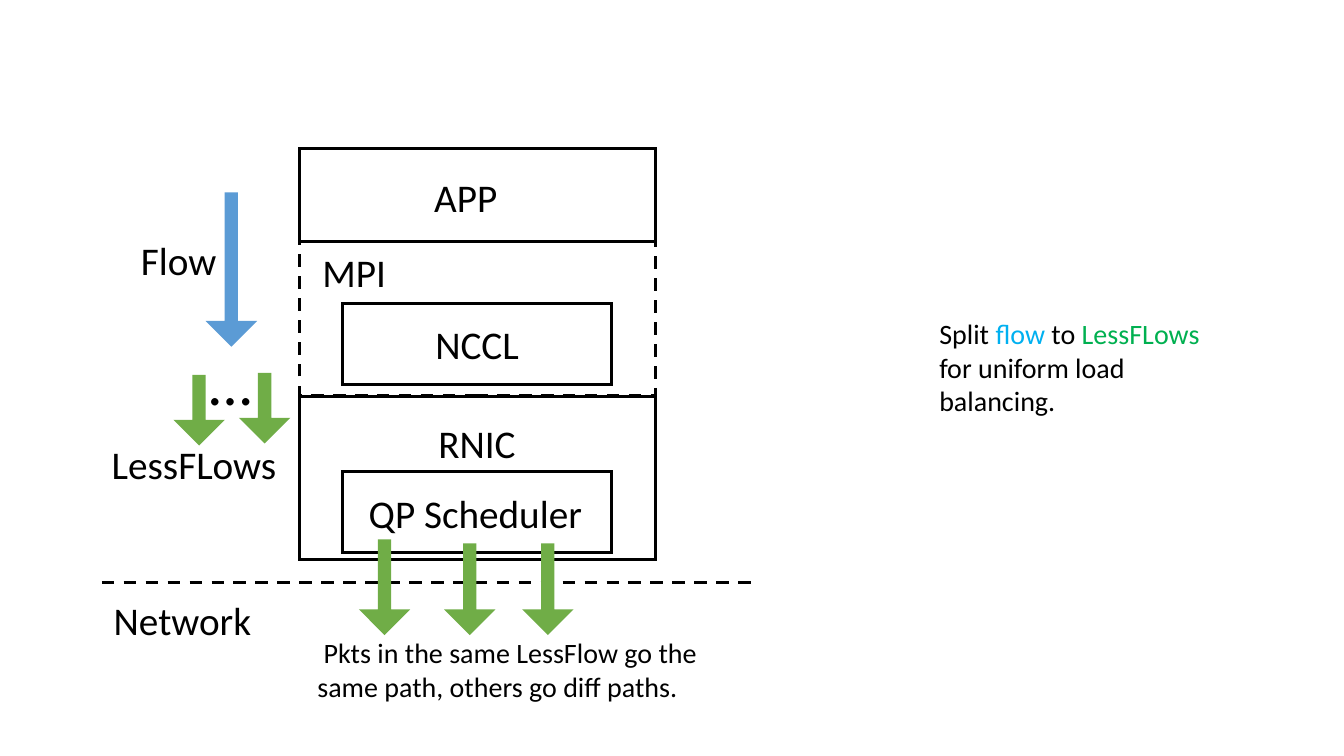
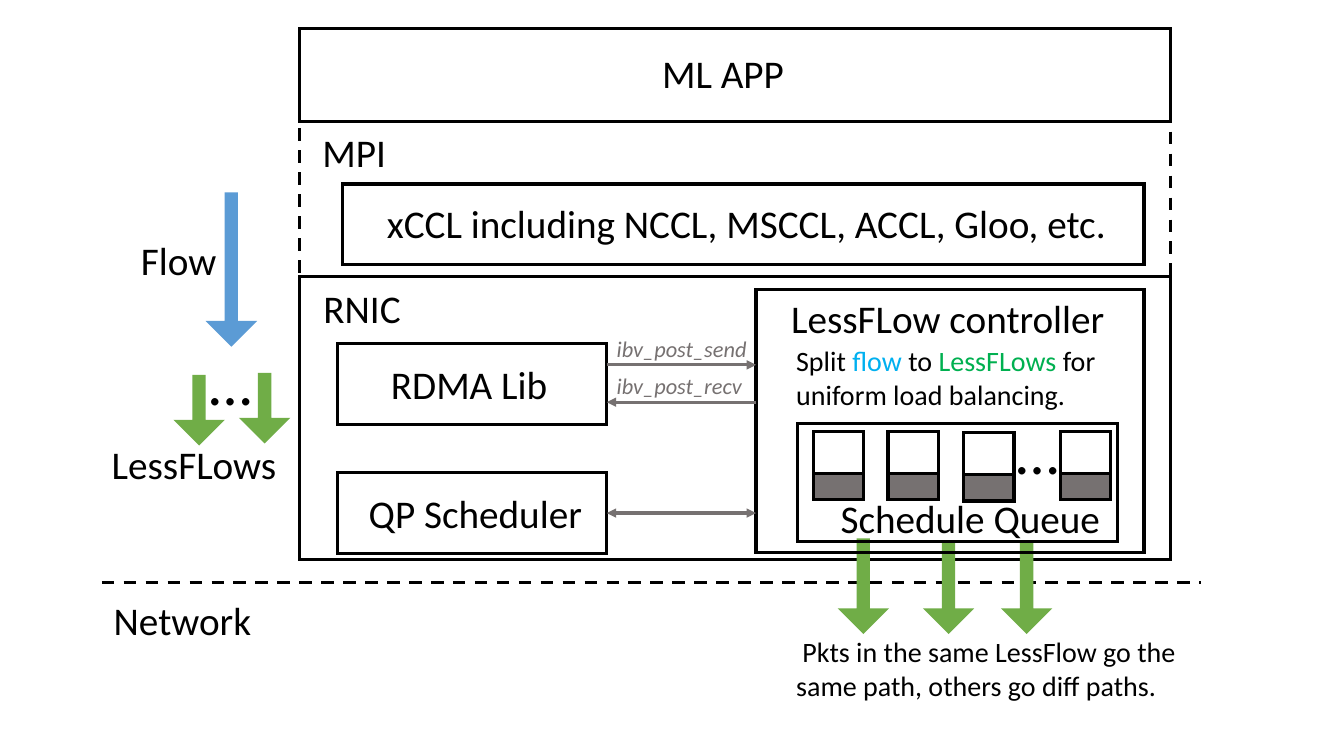
from dataclasses import dataclass
from typing import Optional

from lxml import etree
from pptx import Presentation
from pptx.dml.color import RGBColor
from pptx.enum.dml import MSO_LINE
from pptx.enum.shapes import MSO_CONNECTOR, MSO_SHAPE
from pptx.enum.text import MSO_AUTO_SIZE
from pptx.oxml.ns import qn
from pptx.util import Inches, Pt

RECTANGLE = MSO_SHAPE.RECTANGLE
DOWN_ARROW = MSO_SHAPE.DOWN_ARROW
STRAIGHT = MSO_CONNECTOR.STRAIGHT
DASH = MSO_LINE.DASH
GROW = MSO_AUTO_SIZE.SHAPE_TO_FIT_TEXT
LEFT_SIDE, RIGHT_SIDE = 1, 3

CELL_INCHES = 0.1
SLIDE_COLUMNS, SLIDE_ROWS = 133.33, 75

FONT = "Calibri"
BLACK, GRAY = "000000", "767171"
FLOW_BLUE, FLOW_GREEN = "5B9BD5", "70AD47"
TEXT_BLUE, TEXT_GREEN = "00B0F0", "00B050"
LABEL_SIZE, NOTE_SIZE, CALL_SIZE, DOTS_SIZE = 28, 20, 16, 44
LINE_WIDTH = 2.25

STACK_COLUMN, STACK_BOTTOM = 29.7, 55.5
APP_ROWS, MPI_ROWS, BOX_ROWS = 9.3, 15.3, 8
ARROW_COLUMNS = 5.1


@dataclass(frozen=True)
class Box:
    column: float
    row: float
    columns: float
    rows: float
    fill: Optional[str] = None
    dashed: bool = False


@dataclass(frozen=True)
class Arrow:
    column: float
    row: float
    rows: float
    colour: str = FLOW_GREEN


@dataclass(frozen=True)
class Label:
    column: float
    row: float
    columns: float
    runs: tuple[tuple[str, str], ...]
    size: float = LABEL_SIZE
    rows: float = 5.7
    wrap: bool = False
    italic: bool = False


@dataclass(frozen=True)
class Line:
    start_column: float
    end_column: float
    row: float
    colour: str = GRAY
    dashed: bool = False
    head: bool = False
    tail: bool = False


@dataclass(frozen=True)
class Stack:
    row: float
    columns: float
    library_columns: float
    scheduler: Box
    network_end: float
    outlet_column: float
    outlet_row: float
    labels: tuple[Label, ...]


def grid(cells: float) -> int:
    return Inches(cells * CELL_INCHES)


def colour(hex_value: str) -> RGBColor:
    return RGBColor.from_string(hex_value)


def plain(text: str, hex_value: str = BLACK) -> tuple[tuple[str, str], ...]:
    return ((text, hex_value),)


def style_line(line, hex_value: str, dashed: bool):
    line.color.rgb = colour(hex_value)
    line.width = Pt(LINE_WIDTH)
    if dashed:
        line.dash_style = DASH


def draw_box(slide, box: Box):
    shape = slide.shapes.add_shape(
        RECTANGLE, grid(box.column), grid(box.row), grid(box.columns), grid(box.rows)
    )
    shape.shadow.inherit = False
    if box.fill:
        shape.fill.solid()
        shape.fill.fore_color.rgb = colour(box.fill)
    else:
        shape.fill.background()
    style_line(shape.line, BLACK, box.dashed)
    outline = shape.element.spPr.find(qn("a:ln"))
    etree.SubElement(outline, qn("a:miter"), lim="800000")
    return shape


def draw_arrow(slide, arrow: Arrow) -> None:
    shape = slide.shapes.add_shape(
        DOWN_ARROW, grid(arrow.column), grid(arrow.row), grid(ARROW_COLUMNS), grid(arrow.rows)
    )
    shape.shadow.inherit = False
    shape.adjustments[0] = 0.26
    shape.adjustments[1] = 0.5
    shape.fill.solid()
    shape.fill.fore_color.rgb = colour(arrow.colour)
    shape.line.fill.background()


def draw_label(slide, label: Label) -> None:
    shape = slide.shapes.add_textbox(
        grid(label.column), grid(label.row), grid(label.columns), grid(label.rows)
    )
    text_frame = shape.text_frame
    text_frame.word_wrap = label.wrap
    text_frame.auto_size = GROW
    paragraph = text_frame.paragraphs[0]
    for text, hex_value in label.runs:
        run = paragraph.add_run()
        run.text = text
        run.font.name = FONT
        run.font.size = Pt(label.size)
        run.font.italic = label.italic
        run.font.color.rgb = colour(hex_value)


def draw_line(slide, line: Line):
    connector = slide.shapes.add_connector(
        STRAIGHT, grid(line.start_column), grid(line.row), grid(line.end_column), grid(line.row)
    )
    style_line(connector.line, line.colour, line.dashed)
    properties = connector.element.spPr
    outline = properties.find(qn("a:ln"))
    for tag, present in (("a:headEnd", line.head), ("a:tailEnd", line.tail)):
        if present:
            etree.SubElement(outline, qn(tag), type="triangle")
    etree.SubElement(properties, qn("a:effectLst"))
    return connector


def draw_dots(slide, column: float, row: float) -> None:
    draw_label(slide, Label(column, row, 6.3, plain("…"), DOTS_SIZE, 8.4))


def draw_split_note(slide, column: float, row: float, columns: float) -> None:
    runs = (
        ("Split ", BLACK),
        ("flow ", TEXT_BLUE),
        ("to ", BLACK),
        ("LessFLows ", TEXT_GREEN),
        ("for uniform load balancing.", BLACK),
    )
    draw_label(slide, Label(column, row, columns, runs, NOTE_SIZE, 7.7, wrap=True))


def draw_flows(slide) -> None:
    for arrow in (
        Arrow(20.4, 19.1, 15.3, FLOW_BLUE),
        Arrow(17.2, 37.2, 7),
        Arrow(23.7, 37, 7),
    ):
        draw_arrow(slide, arrow)
    draw_dots(slide, 19.8, 33.6)
    draw_label(slide, Label(13, 23, 9.6, plain("Flow")))
    draw_label(slide, Label(10.1, 43.2, 18.5, plain("LessFLows")))


def draw_outlets(slide, column: float, row: float) -> None:
    for offset, drop in ((0, 0), (8.45, 0.4), (16.2, 0.4)):
        draw_arrow(slide, Arrow(column + offset, row + drop, 9.5 - drop))
    note = " Pkts in the same LessFlow go the same path, others go diff paths."
    draw_label(
        slide,
        Label(column - ARROW_COLUMNS, row + 9.1, 44, plain(note), NOTE_SIZE, 7.7, wrap=True),
    )


def draw_stack(slide, stack: Stack):
    mpi_row = stack.row + APP_ROWS
    rnic_row = mpi_row + MPI_ROWS
    for box in (
        Box(STACK_COLUMN, stack.row, stack.columns, APP_ROWS),
        Box(STACK_COLUMN, mpi_row, stack.columns, MPI_ROWS, dashed=True),
        Box(34, stack.row + 15.45, stack.library_columns, BOX_ROWS),
        Box(STACK_COLUMN, rnic_row, stack.columns, STACK_BOTTOM - rnic_row),
    ):
        draw_box(slide, box)
    scheduler = draw_box(slide, stack.scheduler)
    draw_line(slide, Line(10.1, stack.network_end, 57.8, BLACK, dashed=True))
    draw_flows(slide)
    draw_outlets(slide, stack.outlet_column, stack.outlet_row)
    for label in (
        Label(31, mpi_row + 0.15, 8.4, plain("MPI")),
        Label(10.3, 58.7, 15.8, plain("Network")),
        Label(35.6, 48.1, 23.4, plain("QP Scheduler")),
        *stack.labels,
    ):
        draw_label(slide, label)
    return scheduler


def draw_queue(slide) -> None:
    draw_box(slide, Box(79.1, 42, 31.8, 11.7))
    for column, row in ((80.7, 42.8), (88.1, 42.8), (95.6, 42.9), (105.2, 42.8)):
        draw_box(slide, Box(column, row, 5, 6.8))
        draw_box(slide, Box(column, row + 4.2, 5, 2.6, fill=GRAY))
    draw_dots(slide, 99.9, 40.5)
    draw_label(slide, Label(82.4, 48.5, 28.1, plain("Schedule Queue")))


def draw_controller(slide, scheduler) -> None:
    draw_box(slide, Box(33.5, 34.1, 26.7, BOX_ROWS))
    draw_label(slide, Label(37.8, 35.3, 17.7, plain("RDMA Lib")))
    draw_box(slide, Box(75, 28.7, 38.5, 26.1))
    draw_label(slide, Label(77.5, 28.7, 33.4, plain("LessFLow controller")))
    draw_split_note(slide, 78, 33.6, 34.6)
    draw_line(slide, Line(60.2, 75, 36.2, tail=True))
    draw_line(slide, Line(75, 60.2, 39.9, tail=True))
    for text, row, columns in (("ibv_post_send", 32.8, 15.3), ("ibv_post_recv", 36.4, 14.6)):
        draw_label(
            slide, Label(60.2, row, columns, plain(text, GRAY), CALL_SIZE, 3.7, italic=True)
        )
    exchange = draw_line(slide, Line(75, 60.2, 50.9, head=True, tail=True))
    exchange.end_connect(scheduler, RIGHT_SIDE)
    draw_queue(slide)


def main() -> None:
    presentation = Presentation()
    presentation.slide_width = grid(SLIDE_COLUMNS)
    presentation.slide_height = grid(SLIDE_ROWS)
    blank = presentation.slide_layouts[6]

    overview = presentation.slides.add_slide(blank)
    overview_labels = (
        Label(42.1, 16.7, 8.4, plain("APP")),
        Label(42.2, 31.3, 10.4, plain("NCCL")),
        Label(42.5, 41.1, 9.8, plain("RNIC")),
    )
    overview_scheduler = Box(34, 46.8, 26.7, BOX_ROWS)
    draw_stack(
        overview, Stack(14.7, 35.3, 26.7, overview_scheduler, 75, 35.6, 53.5, overview_labels)
    )
    draw_split_note(overview, 92.2, 30.9, 29.6)

    detail = presentation.slides.add_slide(blank)
    detail_labels = (
        Label(64.7, 4.4, 14.3, plain("ML APP")),
        Label(37.4, 19.3, 75, plain("xCCL including NCCL, MSCCL, ACCL, Gloo, etc.")),
        Label(31.1, 27.7, 9.8, plain("RNIC")),
    )
    detail_scheduler = Box(33.5, 46.9, 26.7, BOX_ROWS)
    scheduler = draw_stack(
        detail, Stack(2.8, 86.4, 79.5, detail_scheduler, 119.1, 83.1, 53.4, detail_labels)
    )
    draw_controller(detail, scheduler)

    presentation.save("out.pptx")


if __name__ == "__main__":
    main()
